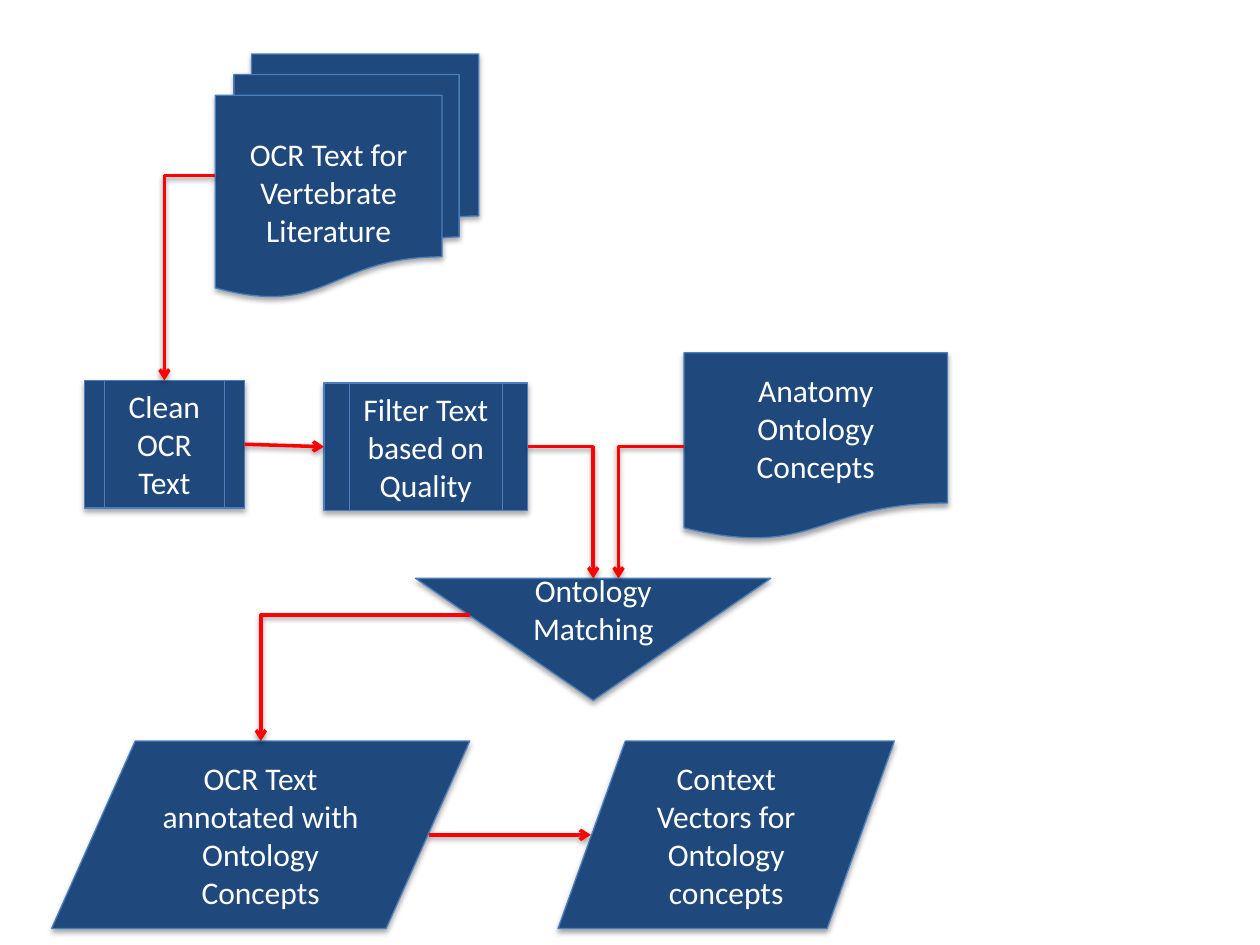
from lxml.etree import SubElement
from pptx import Presentation
from pptx.dml.color import RGBColor
from pptx.enum.shapes import MSO_CONNECTOR, MSO_SHAPE
from pptx.enum.text import MSO_ANCHOR, PP_ALIGN
from pptx.oxml.ns import qn
from pptx.util import Cm, Pt

NAVY = RGBColor(0x1F, 0x49, 0x7D)
BLUE = RGBColor(0x4B, 0x7E, 0xBC)
RED = RGBColor(0xFF, 0x00, 0x00)
WHITE = RGBColor(0xFF, 0xFF, 0xFF)
FONT = {"name": "Calibri", "size": Pt(18)}
TOP, LEFT, RIGHT = 0, 1, 3

# name: (preset, text, (left, top, width, height) in cm)
STEPS = {
    "literature": (MSO_SHAPE.FLOWCHART_MULTIDOCUMENT,
                   "OCR Text for Vertebrate Literature", (4.34, 1.09, 5.31, 4.9)),
    "anatomy": (MSO_SHAPE.FLOWCHART_DOCUMENT,
                "Anatomy Ontology Concepts", (13.79, 7.11, 5.31, 3.78)),
    "clean": (MSO_SHAPE.FLOWCHART_PREDEFINED_PROCESS,
              "Clean OCR Text", (1.7, 7.67, 3.23, 2.57)),
    "filter": (MSO_SHAPE.FLOWCHART_PREDEFINED_PROCESS,
               "Filter Text based on Quality", (6.53, 7.72, 4.11, 2.57)),
    "annotated": (MSO_SHAPE.FLOWCHART_DATA,
                  "OCR Text annotated with Ontology Concepts", (1.04, 14.94, 8.43, 3.78)),
    "matching": (MSO_SHAPE.FLOWCHART_MERGE,
                 "Ontology Matching", (8.38, 11.66, 7.16, 2.46)),
    "vectors": (MSO_SHAPE.FLOWCHART_DATA,
                "Context Vectors for Ontology concepts", (11.25, 14.94, 6.78, 3.78)),
}

# (begin, end, bent); an end is (step, side) or a point (x, y) in cm
ARROWS = [
    (("literature", LEFT), ("clean", TOP), True),
    (("clean", RIGHT), ("filter", LEFT), False),
    (("filter", RIGHT), ("matching", TOP), True),
    (("anatomy", LEFT), (12.47, 11.66), True),
    ((9.47, 12.4), (5.26, 14.94), True),
    ((8.64, 16.83), (11.91, 16.83), False),
]


def add_step(slide, preset, text, box):
    sp = slide.shapes.add_shape(preset, *map(Cm, box))
    sp.fill.solid()
    sp.fill.fore_color.rgb = NAVY
    sp.line.color.rgb = BLUE
    sp.line.width = Pt(0.75)
    tf = sp.text_frame
    tf.word_wrap = True
    tf.vertical_anchor = MSO_ANCHOR.MIDDLE
    p = tf.paragraphs[0]
    p.alignment = PP_ALIGN.CENTER
    r = p.add_run()
    r.text = text
    for key, value in FONT.items():
        setattr(r.font, key, value)
    r.font.color.rgb = WHITE
    return sp


def end_point(end):
    """Return the (x, y) of an arrow end in cm."""
    if end[0] not in STEPS:
        return end
    x, y, w, h = STEPS[end[0]][2]
    return {TOP: (x + w / 2, y),
            LEFT: (x, y + h / 2),
            RIGHT: (x + w, y + h / 2)}[end[1]]


def add_arrow(slide, steps, begin, end, bent):
    kind = MSO_CONNECTOR.ELBOW if bent else MSO_CONNECTOR.STRAIGHT
    points = end_point(begin) + end_point(end)
    cxn = slide.shapes.add_connector(kind, *map(Cm, points))
    for join, (step, side) in ((cxn.begin_connect, begin), (cxn.end_connect, end)):
        if step in steps:
            join(steps[step], side)
    if bent:  # one corner: across, then down
        cxn._element.spPr.find(qn("a:prstGeom")).set("prst", "bentConnector2")
    cxn.line.color.rgb = RED
    cxn.line.width = Pt(2)
    SubElement(cxn.line._get_or_add_ln(), qn("a:tailEnd"), type="arrow")


def main():
    prs = Presentation()
    prs.slide_width, prs.slide_height = Cm(25.4), Cm(19.05)
    slide = prs.slides.add_slide(prs.slide_layouts[6])
    # Shapes and connectors keep the soft shadow of the theme
    steps = {name: add_step(slide, *step) for name, step in STEPS.items()}
    for arrow in ARROWS:
        add_arrow(slide, steps, *arrow)
    prs.save("out.pptx")


if __name__ == "__main__":
    main()
